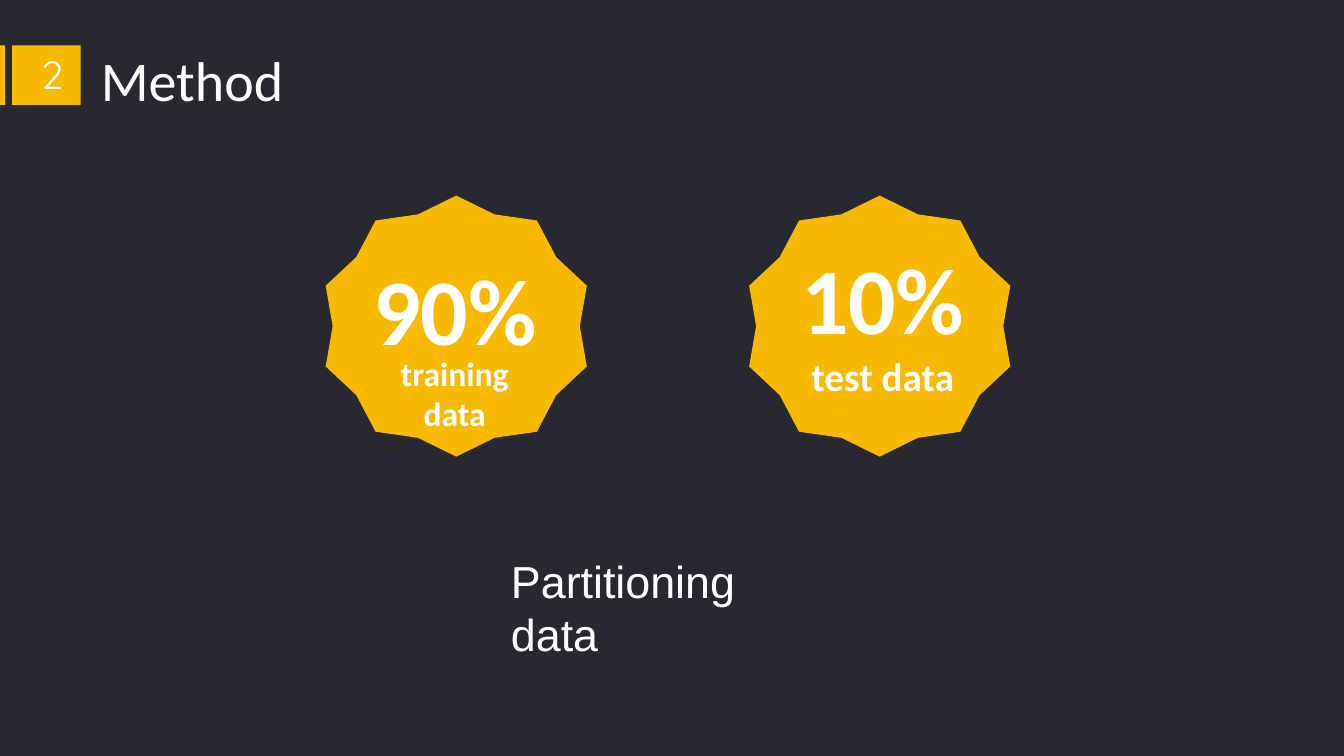
import pptx
import pptx.util
import pptx.dml.color
import pptx.enum.shapes
import pptx.enum.text

Inches = pptx.util.Inches
Shape = pptx.enum.shapes.MSO_SHAPE
Align = pptx.enum.text.PP_ALIGN
GOLD, WHITE, DARK = "F7B902", "FFFFFF", "282830"


def paint(fill, color):
    fill.solid()
    fill.fore_color.rgb = pptx.dml.color.RGBColor.from_string(color)


def write(box, text, size, font="Calibri", bold=False, align=Align.LEFT):
    frame = box.text_frame
    frame.text = text
    frame.word_wrap = True
    frame.auto_size = pptx.enum.text.MSO_AUTO_SIZE.NONE
    frame.vertical_anchor = pptx.enum.text.MSO_ANCHOR.TOP
    line = frame.paragraphs[0]
    line.alignment = align
    run = line.runs[0]
    run.font.size = pptx.util.Pt(size)
    run.font.name = font
    run.font.bold = bold
    paint(run.font.fill, WHITE)


deck = pptx.Presentation()
deck.slide_width, deck.slide_height = Inches(13.33), Inches(7.5)
slide = deck.slides.add_slide(deck.slide_layouts[5])
paint(slide.background.fill, DARK)
shapes = slide.shapes

# Title
title = shapes.title
title.left, title.top = Inches(0.9), Inches(0.4)
title.width, title.height = Inches(4.57), Inches(0.77)
write(title, "Method", 40)

# Gold stars and section marks
for kind, left, top, width, height in [
    (Shape.STAR_10_POINT, 3.23, 1.94, 2.59, 2.59),
    (Shape.STAR_10_POINT, 7.43, 1.94, 2.59, 2.59),
    (Shape.RECTANGLE, 0, 0.45, 0.05, 0.59),
    (Shape.RECTANGLE, 0.12, 0.45, 0.68, 0.59),
]:
    mark = shapes.add_shape(kind, Inches(left), Inches(top), Inches(width), Inches(height))
    mark.shadow.inherit = False
    paint(mark.fill, GOLD)
    mark.line.fill.background()
    if kind == Shape.STAR_10_POINT:
        mark.adjustments[0] = 0.45

# Shares, section number and caption
for text, left, top, width, height, size, font, bold, align in [
    ("90%", 3.56, 2.45, 1.91, 1.23, 67, "Calibri", True, Align.CENTER),
    ("training data", 3.83, 3.45, 1.36, 0.91, 24, "Calibri", True, Align.CENTER),
    ("10%", 7.8, 2.34, 1.91, 1.23, 67, "Calibri", True, Align.CENTER),
    ("test data", 7.91, 3.45, 1.69, 0.57, 28, "Calibri", True, Align.CENTER),
    ("2", 0.31, 0.45, 0.3, 0.59, 28, "Quicksand", False, Align.CENTER),
    ("Partitioning data", 4.97, 5.44, 3.33, 0.64, 32, "Arial", False, Align.LEFT),
]:
    box = shapes.add_textbox(Inches(left), Inches(top), Inches(width), Inches(height))
    write(box, text, size, font, bold, align)

deck.save("out.pptx")
